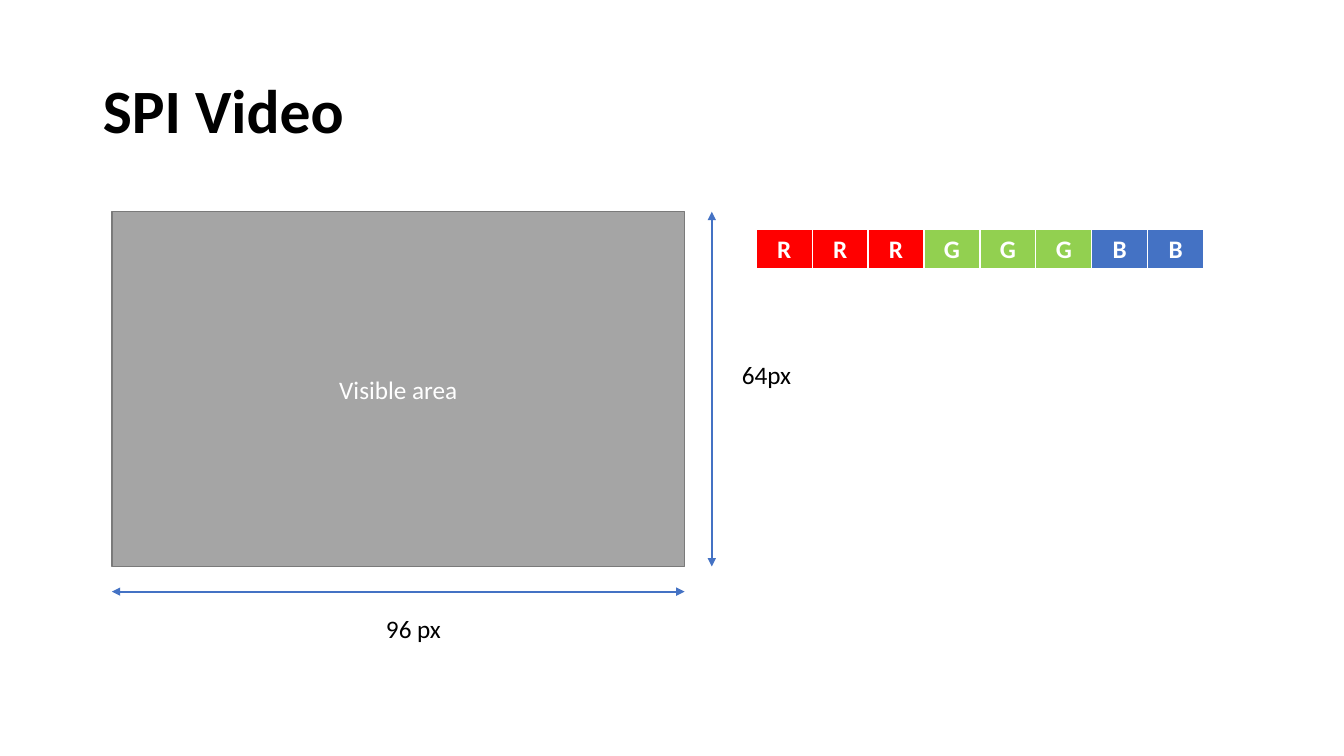
from lxml.etree import SubElement as Sub
from pptx import Presentation
from pptx.dml.color import RGBColor
from pptx.enum.shapes import MSO_CONNECTOR as Link, MSO_SHAPE as Shape
from pptx.enum.text import MSO_ANCHOR as Anchor, PP_ALIGN as Align
from pptx.oxml import parse_xml
from pptx.oxml.ns import nsdecls, qn
from pptx.util import Pt

PX = 9144
SIZE = (1333, 750)
TITLE = ("SPI Video", (92, 40, 1150, 145))
AREA = ("Visible area", (111, 210, 568, 352))
LABELS = [("64px", (726, 352, 69, 40)), ("96 px", (373, 604, 75, 40))]
GAPS = (27, 25)
BITS = "RRRGGGBB"
FILLS = {"R": "FF0000", "G": "92D050", "B": "4472C4"}
GRID = (750, 228, 444, 40)
EDGES = {"lnL": 1, "lnR": 1, "lnT": 1, "lnB": 3}
BLACK, WHITE, BLUE = "000000", "FFFFFF", "4472C4"


def emu(box):
    return [n * PX for n in box]


def color(code):
    return RGBColor.from_string(code)


def paint(fill, code):
    fill.solid()
    fill.fore_color.rgb = color(code)


def write(frame, text, tone, size=18, bold=False, align=Align.LEFT):
    para = frame.paragraphs[0]
    para.alignment = align
    run = para.add_run()
    run.text = text
    form = {"name": "Calibri", "size": Pt(size), "bold": bold}
    for key, val in form.items():
        setattr(run.font, key, val)
    run.font.color.rgb = color(tone)
    return para


def arrow(shapes, ends):
    line = shapes.add_connector(Link.STRAIGHT, *emu(ends))
    line.line.color.rgb = color(BLUE)
    line.line.width = Pt(1.5)
    for tag in ("a:headEnd", "a:tailEnd"):
        Sub(line.line._get_or_add_ln(), qn(tag), type="triangle")
    Sub(line._element.spPr, qn("a:effectLst"))


def edge(cell):
    props = cell._tc.get_or_add_tcPr()
    for spot, (tag, width) in enumerate(EDGES.items()):
        props.insert(spot, parse_xml(
            f'<a:{tag} {nsdecls("a")} w="{Pt(width)}"><a:solidFill>'
            f'<a:srgbClr val="{WHITE}"/></a:solidFill></a:{tag}>'))


def main():
    deck = Presentation()
    deck.slide_width, deck.slide_height = emu(SIZE)
    slide = deck.slides.add_slide(deck.slide_layouts[5])
    shapes = slide.shapes

    text, box = TITLE
    title = shapes.title
    for key, val in zip(("left", "top", "width", "height"), emu(box)):
        setattr(title, key, val)
    title.text_frame.vertical_anchor = Anchor.MIDDLE
    write(title.text_frame, text, BLACK, 44, True).line_spacing = 0.9

    text, box = AREA
    area = shapes.add_shape(Shape.RECTANGLE, *emu(box))
    area.shadow.inherit = False
    paint(area.fill, "A5A5A5")
    area.line.color.rgb = color("7A7A7A")
    area.line.width = Pt(1)
    area.text_frame.vertical_anchor = Anchor.MIDDLE
    write(area.text_frame, text, WHITE, align=Align.CENTER)

    for text, spot in LABELS:
        label = shapes.add_textbox(*emu(spot))
        label.text_frame.word_wrap = False
        write(label.text_frame, text, BLACK)

    left, top, width, height = box
    right, base = left + width, top + height
    side, low = right + GAPS[0], base + GAPS[1]
    arrow(shapes, (side, top, side, base))
    arrow(shapes, (left, low, right, low))

    table = shapes.add_table(1, len(BITS), *emu(GRID)).table
    for col, bit in enumerate(BITS):
        cell = table.cell(0, col)
        paint(cell.fill, FILLS[bit])
        edge(cell)
        write(cell.text_frame, bit, WHITE, bold=True, align=Align.CENTER)

    deck.save("out.pptx")


if __name__ == "__main__":
    main()
